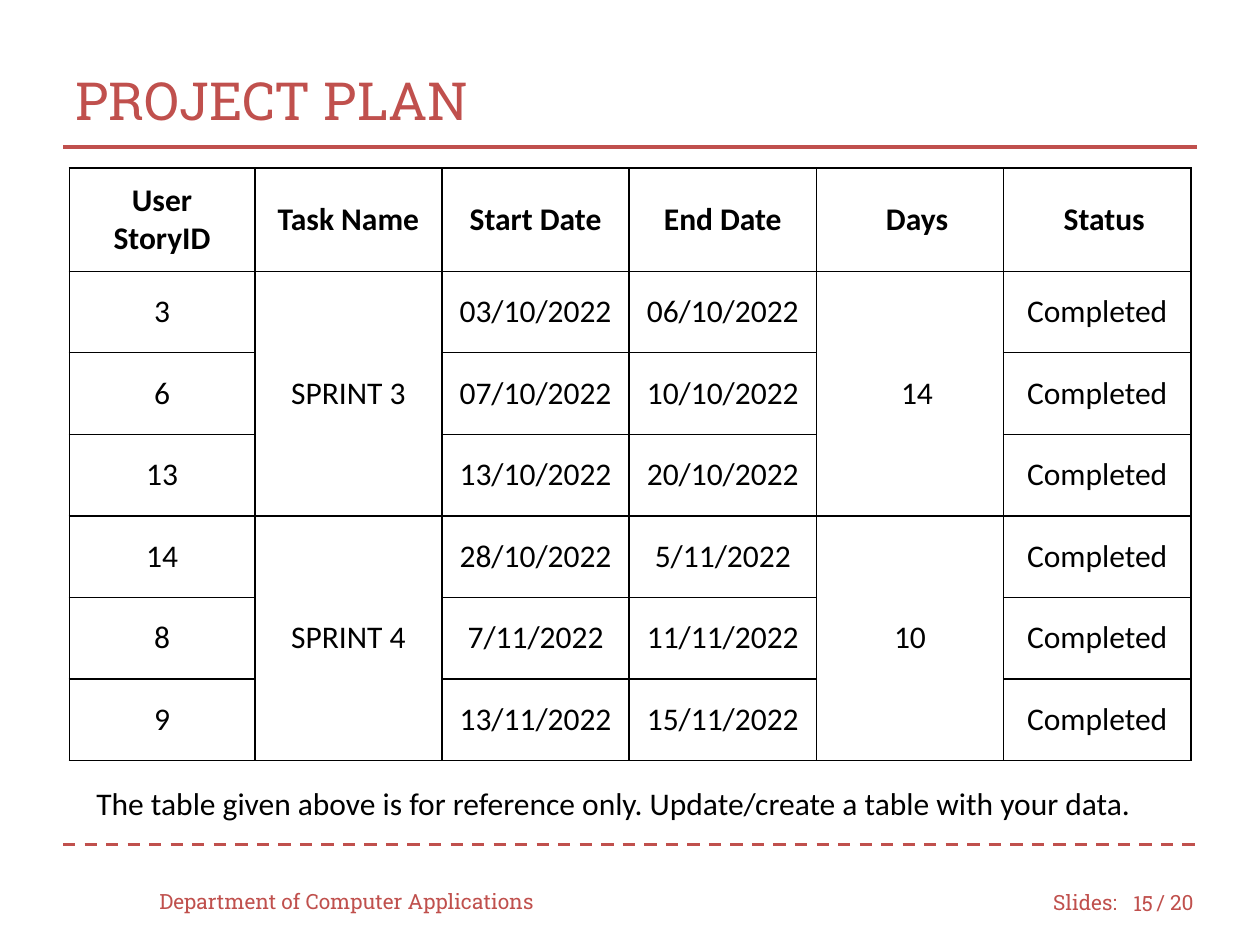
from lxml import etree
from pptx import Presentation
from pptx.dml.color import RGBColor
from pptx.enum import dml, shapes, text
from pptx.oxml import ns
from pptx.util import Pt

RED, BLACK, WHITE = "C0504D", "000000", "FFFFFF"
SLAB, BODY = "Roboto Slab", "Calibri"
LEFT, CENTER, RIGHT = text.PP_ALIGN.LEFT, text.PP_ALIGN.CENTER, text.PP_ALIGN.RIGHT
MIDDLE, TOP = text.MSO_ANCHOR.MIDDLE, text.MSO_ANCHOR.TOP

HEADERS = ["User\nStoryID", "Task Name", "Start Date", "End Date", "Days", "Status"]
SPRINTS = [
    ("SPRINT 3", "14", [("3", "03/10/2022", "06/10/2022"),
                        ("6", "07/10/2022", "10/10/2022"),
                        ("13", "13/10/2022", "20/10/2022")]),
    ("SPRINT 4", "10", [("14", "28/10/2022", "5/11/2022"),
                        ("8", "7/11/2022", "11/11/2022"),
                        ("9", "13/11/2022", "15/11/2022")]),
]
SHIFTED = {"Days", "Status", "14 days"}


def color(value):
    """Turn a hex string into a colour."""
    return RGBColor.from_string(value)


def write(tf, content, size, font, ink, align=LEFT, bold=False):
    """Fill a text frame with one formatted run per line."""
    for i, line in enumerate(content.split("\n")):
        p = tf.add_paragraph() if i else tf.paragraphs[0]
        p.alignment = align
        r = p.add_run()
        r.text = line
        r.font.size, r.font.name, r.font.bold = Pt(size), font, bold
        r.font.color.rgb = color(ink)


def place(sp, x, y, w, h):
    """Set the position and size of a shape."""
    sp.left, sp.top, sp.width, sp.height = Pt(x), Pt(y), Pt(w), Pt(h)


def add_title(s, content):
    """Format the title placeholder."""
    sp = s.shapes.title
    place(sp, 36, 24, 648, 66)
    sp.text_frame.vertical_anchor = MIDDLE
    write(sp.text_frame, content, 30, SLAB, RED)


def add_label(s, content, x, y, w, size=12, font=SLAB, ink=RED, align=LEFT, anchor=MIDDLE):
    """Add a text box that wraps."""
    tf = s.shapes.add_textbox(Pt(x), Pt(y), Pt(w), Pt(29)).text_frame
    tf.word_wrap = True
    tf.vertical_anchor = anchor
    write(tf, content, size, font, ink, align)


def add_rule(s, y, dash=None):
    """Add a horizontal line across the slide."""
    sp = s.shapes.add_connector(shapes.MSO_CONNECTOR.STRAIGHT, Pt(36), Pt(y), Pt(684), Pt(y))
    sp.line.color.rgb = color(RED)
    sp.line.width = Pt(1.75)
    if dash:
        sp.line.dash_style = dash
    etree.SubElement(sp._element.spPr, ns.qn("a:effectLst"))


def style_cell(cell):
    """Give a cell a white fill, black borders and even margins."""
    tc_pr = cell._tc.get_or_add_tcPr()
    for side in ("a:lnL", "a:lnR", "a:lnT", "a:lnB"):
        ln = etree.SubElement(tc_pr, ns.qn(side), w=str(Pt(1)))
        fill = etree.SubElement(ln, ns.qn("a:solidFill"))
        etree.SubElement(fill, ns.qn("a:srgbClr"), val=BLACK)
    cell.fill.solid()
    cell.fill.fore_color.rgb = color(WHITE)
    cell.vertical_anchor = MIDDLE
    cell.margin_left = cell.margin_right = cell.margin_top = cell.margin_bottom = Pt(7.2)


def fill_cell(cell, content, bold=False, shift=0):
    """Write centred text in a cell, shifted by a wider left margin."""
    write(cell.text_frame, content, 18, BODY, BLACK, CENTER, bold)
    cell.margin_left = Pt(7.2 + shift)


def add_plan(s):
    """Add the table of sprints and their stories."""
    rows = 1 + sum(len(stories) for _, _, stories in SPRINTS)
    table = s.shapes.add_table(rows, len(HEADERS), Pt(39.6), Pt(96), Pt(641), Pt(338.6)).table
    for i, col in enumerate(table.columns):
        col.width = Pt(107 if i else 106)
    for i, row in enumerate(table.rows):
        row.height = Pt(46.6 if i else 59)
    for cell in table.iter_cells():
        style_cell(cell)
    for i, header in enumerate(HEADERS):
        fill_cell(table.cell(0, i), header, True, 8 if header in ("Days", "Status") else 0)
    top = 1
    for name, days, stories in SPRINTS:
        for i, (story, start, end) in enumerate(stories, top):
            for col, value in ((0, story), (2, start), (3, end), (5, "Completed")):
                fill_cell(table.cell(i, col), value)
        for col, value in ((1, name), (4, days)):
            table.cell(top, col).merge(table.cell(top + len(stories) - 1, col))
            fill_cell(table.cell(top, col), value, shift=8 if value == "14" else 0)
        top += len(stories)


def main():
    """Build the project plan slide."""
    prs = Presentation()
    prs.slide_width, prs.slide_height = Pt(720), Pt(540)
    s = prs.slides.add_slide(prs.slide_layouts[5])
    add_label(s, "Slides:", 594.7, 501, 54)
    add_label(s, "/ 20", 653.8, 501, 42)
    add_rule(s, 482.4, dml.MSO_LINE.DASH)
    add_rule(s, 84)
    add_title(s, "PROJECT PLAN")
    add_label(s, "Department of Computer Applications", 84, 500.5, 240)
    add_label(s, "15", 636, 501.8, 30, align=RIGHT)
    add_plan(s)
    add_label(s, "The table given above is for reference only. Update/create a table with your data.",
              48, 444.5, 618, 18, BODY, BLACK, anchor=TOP)
    prs.save("out.pptx")


if __name__ == "__main__":
    main()
